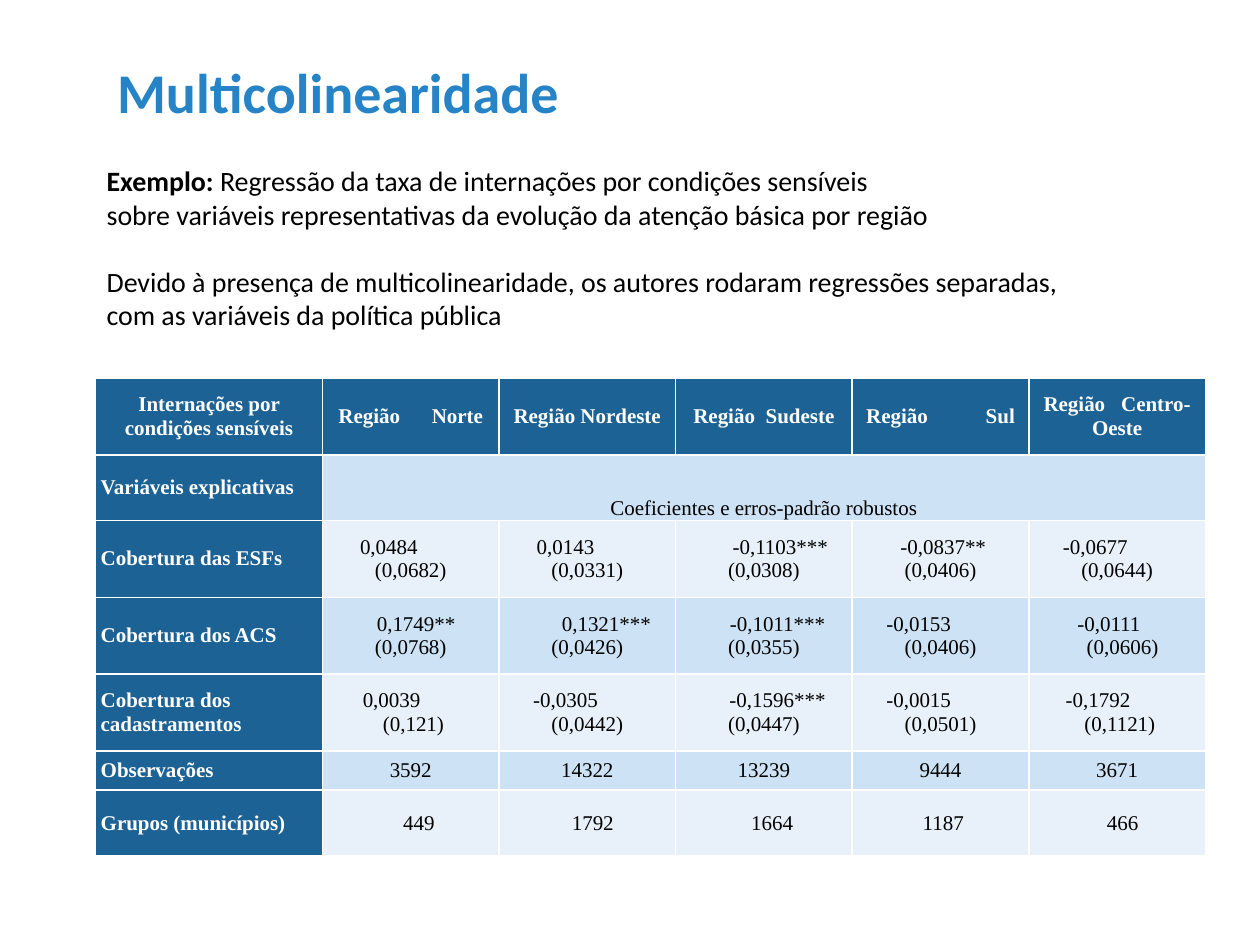
from dataclasses import dataclass

import pptx
import pptx.dml.color
import pptx.enum.text
import pptx.util

Cm, Pt = pptx.util.Cm, pptx.util.Pt
Align = pptx.enum.text.PP_ALIGN
Anchor = pptx.enum.text.MSO_ANCHOR


@dataclass(frozen=True)
class Theme:
    title: str = "2683C6"
    heading_fill: str = "1D6294"
    heading_text: str = "FFFFFF"
    text: str = "000000"
    bands: tuple[str, str] = ("CDE3F5", "E8F1FA")
    sans: str = "Calibri"
    serif: str = "Times New Roman"
    title_size: int = 32
    body_size: int = 16
    table_size: int = 12


@dataclass(frozen=True)
class Region:
    name: str
    word_gap: int = 0  # points added between "Região" and the name


@dataclass(frozen=True)
class Estimate:
    """Value and standard error; shifts are counted in space widths, right is positive."""
    value: str
    shift: int = 0
    error: str = ""
    error_shift: int = 0


@dataclass(frozen=True)
class Variable:
    label: str
    height: float
    estimates: tuple[Estimate, ...]


THEME = Theme()
SPACE_WIDTH = Cm(0.11)
CELL_MARGIN = Cm(0.1)
LABEL_WIDTH, REGION_WIDTH = 4.57, 3.56
HEADER_HEIGHT, CAPTION_HEIGHT = 1.55, 1.32

REGIONS = (Region("Norte", 15), Region("Nordeste"), Region("Sudeste", 3),
           Region("Sul", 30), Region("Centro-Oeste", 6))

VARIABLES = (
    Variable("Cobertura das ESFs", 1.55, (
        Estimate("0,0484", -8, "(0,0682)"), Estimate("0,0143", -8, "(0,0331)"),
        Estimate("-0,1103***", 6, "(0,0308)"), Estimate("-0,0837**", 1, "(0,0406)"),
        Estimate("-0,0677", -8, "(0,0644)"))),
    Variable("Cobertura dos ACS", 1.55, (
        Estimate("0,1749**", 2, "(0,0768)"), Estimate("0,1321***", 7, "(0,0426)"),
        Estimate("-0,1011***", 5, "(0,0355)"), Estimate("-0,0153", -8, "(0,0406)"),
        Estimate("-0,0111", -3, "(0,0606)", 2))),
    Variable("Cobertura dos cadastramentos", 1.55, (
        Estimate("0,0039", -7, "(0,121)", 1), Estimate("-0,0305", -8, "(0,0442)"),
        Estimate("-0,1596***", 5, "(0,0447)"), Estimate("-0,0015", -8, "(0,0501)"),
        Estimate("-0,1792", -7, "(0,1121)", 1))),
    Variable("Observações", 0.79, tuple(
        Estimate(count) for count in ("3592", "14322", "13239", "9444", "3671"))),
    Variable("Grupos (municípios)", 1.32, (
        Estimate("449", 3), Estimate("1792", 2), Estimate("1664", 3),
        Estimate("1187", 1), Estimate("466", 2))),
)


def rgb(value: str) -> pptx.dml.color.RGBColor:
    return pptx.dml.color.RGBColor.from_string(value)


def set_format(target, **values) -> None:
    for attribute, value in values.items():
        setattr(target, attribute, value)


def add_run(paragraph, text: str, color: str, **font_values):
    run = paragraph.add_run()
    run.text = text
    set_format(run.font, **font_values)
    run.font.color.rgb = rgb(color)
    return run


def add_table_run(paragraph, text: str, color: str, bold: bool = False):
    return add_run(paragraph, text, color, name=THEME.serif,
                   size=Pt(THEME.table_size), bold=bold)


def prepare_cell(cell, fill: str, align=Align.CENTER, anchor=Anchor.MIDDLE):
    """Fill and pad a cell, and return its first paragraph."""
    cell.fill.solid()
    cell.fill.fore_color.rgb = rgb(fill)
    set_format(cell, vertical_anchor=anchor, margin_left=CELL_MARGIN,
               margin_right=CELL_MARGIN, margin_top=0, margin_bottom=0)
    paragraph = cell.text_frame.paragraphs[0]
    paragraph.alignment = align
    return paragraph


def write_heading(cell, text: str, align=Align.LEFT) -> None:
    paragraph = prepare_cell(cell, THEME.heading_fill, align)
    add_table_run(paragraph, text, THEME.heading_text, bold=True)


def write_region(cell, region: Region) -> None:
    paragraph = prepare_cell(cell, THEME.heading_fill)
    for text in ("Região", " ", region.name):
        run = add_table_run(paragraph, text, THEME.heading_text, bold=True)
        if text == " " and region.word_gap:
            run.font._element.set("spc", str(region.word_gap * 100))


def write_estimate(cell, estimate: Estimate, fill: str) -> None:
    """Shift centred lines left by the cell's right margin, right by an indent."""
    paragraph = prepare_cell(cell, fill)
    pull = max(0, -estimate.shift)
    cell.margin_right = CELL_MARGIN + pull * SPACE_WIDTH
    lines = [(estimate.value, estimate.shift)]
    if estimate.error:
        lines.append((estimate.error, estimate.error_shift))
    for index, (text, shift) in enumerate(lines):
        if index:
            paragraph = cell.text_frame.add_paragraph()
            paragraph.alignment = Align.CENTER
        paragraph._p.get_or_add_pPr().set("marL", str((pull + shift) * SPACE_WIDTH))
        add_table_run(paragraph, text, THEME.text)


def add_text_frame(slide, left: float, top: float, width: float, height: float):
    frame = slide.shapes.add_textbox(Cm(left), Cm(top), Cm(width), Cm(height)).text_frame
    frame.word_wrap = True
    return frame


def add_title(slide) -> None:
    frame = add_text_frame(slide, 2.11, 1.27, 16.43, 1.3)
    frame.vertical_anchor = Anchor.MIDDLE
    paragraph = frame.paragraphs[0]
    paragraph.line_spacing = 0.9
    add_run(paragraph, "Multicolinearidade", THEME.title, name=THEME.sans,
            size=Pt(THEME.title_size), bold=True)


def add_example(slide) -> None:
    frame = add_text_frame(slide, 1.9, 3.18, 20.75, 3.68)
    body = {"name": THEME.sans, "size": Pt(THEME.body_size)}
    paragraph = frame.paragraphs[0]
    add_run(paragraph, "Exemplo:", THEME.text, bold=True, **body)
    add_run(paragraph, " Regressão da taxa de internações por condições sensíveis",
            THEME.text, **body)
    add_run(frame.add_paragraph(), "sobre variáveis representativas da evolução da "
            "atenção básica por região", THEME.text, **body)
    reason = frame.add_paragraph()
    reason.space_before = Pt(19)
    add_run(reason, "Devido à presença de multicolinearidade, os autores rodaram "
            "regressões separadas, com as variáveis da política pública", THEME.text, **body)


def add_regression_table(slide) -> None:
    widths = [LABEL_WIDTH] + [REGION_WIDTH] * len(REGIONS)
    heights = [HEADER_HEIGHT, CAPTION_HEIGHT] + [variable.height for variable in VARIABLES]
    table = slide.shapes.add_table(len(heights), len(widths), Cm(1.93), Cm(7.62),
                                   Cm(sum(widths)), Cm(sum(heights))).table
    for column, width in zip(table.columns, widths):
        column.width = Cm(width)
    for row, height in zip(table.rows, heights):
        row.height = Cm(height)

    write_heading(table.cell(0, 0), "Internações por condições sensíveis", Align.CENTER)
    for column, region in enumerate(REGIONS, start=1):
        write_region(table.cell(0, column), region)

    write_heading(table.cell(1, 0), "Variáveis explicativas")
    caption = table.cell(1, 1)
    caption.merge(table.cell(1, len(REGIONS)))
    add_table_run(prepare_cell(caption, THEME.bands[0], anchor=Anchor.BOTTOM),
                  "Coeficientes e erros-padrão robustos", THEME.text)

    for row, variable in enumerate(VARIABLES, start=2):
        write_heading(table.cell(row, 0), variable.label)
        for column, estimate in enumerate(variable.estimates, start=1):
            write_estimate(table.cell(row, column), estimate, THEME.bands[(row - 1) % 2])


def main() -> None:
    presentation = pptx.Presentation()
    set_format(presentation, slide_width=Cm(25.4), slide_height=Cm(19.05))
    slide = presentation.slides.add_slide(presentation.slide_layouts[6])
    add_title(slide)
    add_regression_table(slide)
    add_example(slide)
    presentation.save("out.pptx")


if __name__ == "__main__":
    main()
